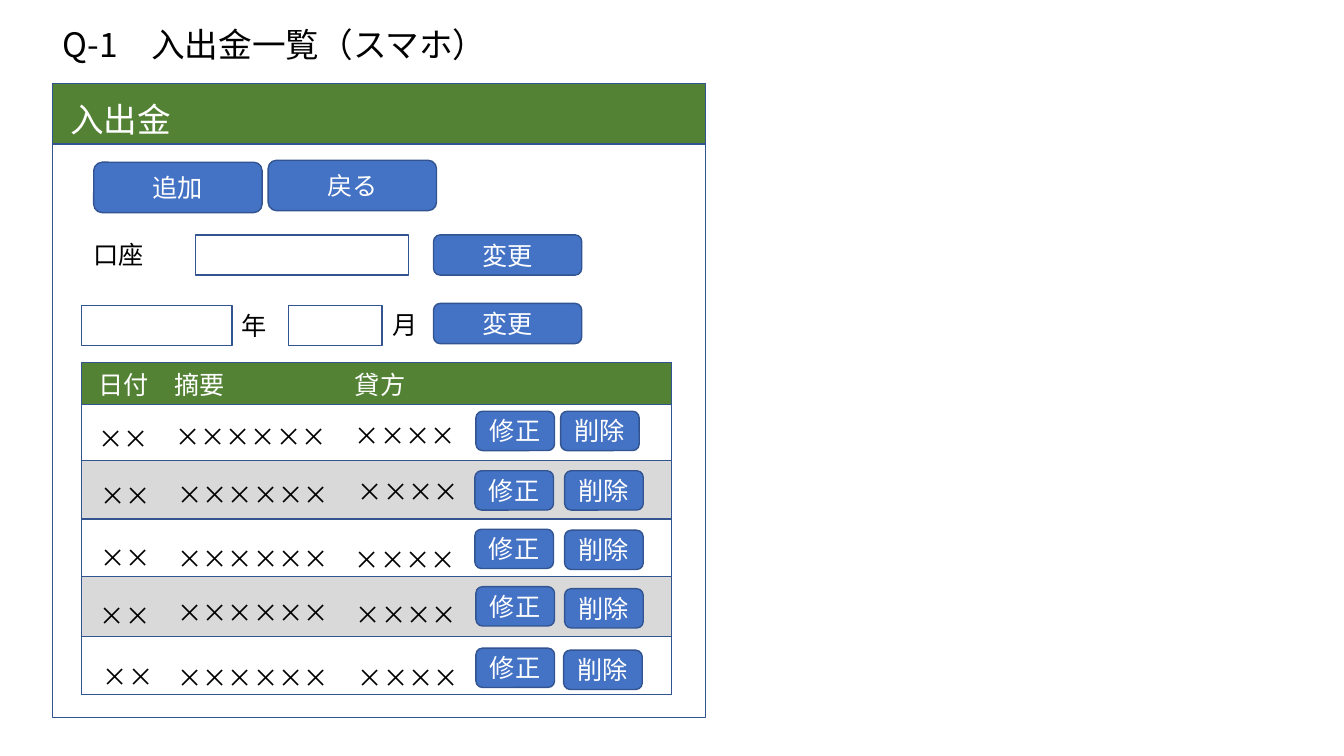
from lxml import etree
from pptx import Presentation
from pptx.dml.color import RGBColor
from pptx.enum.shapes import MSO_SHAPE
from pptx.enum.text import MSO_ANCHOR, MSO_AUTO_SIZE, PP_ALIGN
from pptx.oxml.ns import qn
from pptx.util import Inches, Pt

RECT, ROUNDED = MSO_SHAPE.RECTANGLE, MSO_SHAPE.ROUNDED_RECTANGLE
TOP, MIDDLE = MSO_ANCHOR.TOP, MSO_ANCHOR.MIDDLE
LEFT, CENTER = PP_ALIGN.LEFT, PP_ALIGN.CENTER
NO_AUTOFIT = MSO_AUTO_SIZE.NONE

COLORS = {"ink": "000000", "white": "FFFFFF", "green": "548235",
          "button": "4472C4", "outline": "325491", "band": "D9D9D9"}
FONT = "Noto Sans CJK JP"
LINE_WIDTH = Pt(1)

COLUMN_WIDTHS = (0.82, 1.79, 1.29, 1.95)
HEADINGS = ("日付", "摘要", "貸方", "")
HEADING_INDENTS = (0.17, 0.1, 0.1, 0)
HEADER_HEIGHT = 0.41
ENTRY = ("××", "××××××", "××××", "")
# Each entry: row height, (indent, drop) of its texts, (left, top) of its buttons.
ENTRIES = (
    (0.56, ((0.17, 0.15), (0.11, 0.13), (0.1, 0.12)), ((3.91, 0.07), (4.75, 0.07))),
    (0.58, ((0.19, 0.16), (0.13, 0.15), (0.13, 0.12)), ((3.9, 0.1), (4.79, 0.1))),
    (0.57, ((0.19, 0.19), (0.13, 0.2), (0.1, 0.21)), ((3.9, 0.1), (4.79, 0.11))),
    (0.59, ((0.18, 0.19), (0.13, 0.16), (0.11, 0.18)), ((3.91, 0.1), (4.79, 0.12))),
    (0.58, ((0.21, 0.21), (0.13, 0.22), (0.13, 0.22)), ((3.91, 0.12), (4.78, 0.14))),
)


def rgb(color):
    """Return the named colour."""
    return RGBColor.from_string(COLORS[color])


def apply(target, values):
    """Set every attribute of a format dict on the target."""
    for name, value in values.items():
        setattr(target, name, value)


def write(frame, text, color="ink", size=18, align=LEFT, anchor=TOP):
    """Fill a text frame with one formatted line."""
    apply(frame, {"word_wrap": True, "auto_size": NO_AUTOFIT,
                  "vertical_anchor": anchor})
    format_line(frame.paragraphs[0], text, color, size, align)


def format_line(paragraph, text, color, size=18, align=LEFT):
    """Put a run in a paragraph, with the same Latin and East Asian font."""
    paragraph.alignment = align
    run = paragraph.add_run()
    run.text = text
    apply(run.font, {"name": FONT, "size": Pt(size), "bold": False})
    run.font.color.rgb = rgb(color)
    east_asian = etree.SubElement(run.font._element, qn("a:ea"))
    east_asian.set("typeface", FONT)


def add_panel(slide, box, fill=None, preset=RECT):
    """Draw an outlined shape, empty or filled."""
    panel = slide.shapes.add_shape(preset, *map(Inches, box))
    panel.shadow.inherit = False
    if fill:
        panel.fill.solid()
        panel.fill.fore_color.rgb = rgb(fill)
    else:
        panel.fill.background()
    panel.line.color.rgb = rgb("outline")
    panel.line.width = LINE_WIDTH
    return panel


def add_button(slide, box, caption):
    """Draw a rounded button with a centred caption."""
    button = add_panel(slide, box, "button", ROUNDED)
    write(button.text_frame, caption, "white", align=CENTER, anchor=MIDDLE)


def add_label(slide, box, text, color="ink", size=18):
    """Add a text box."""
    label = slide.shapes.add_textbox(*map(Inches, box))
    write(label.text_frame, text, color, size)


def add_title(slide, box, text):
    """Place the slide title in its placeholder."""
    title = slide.shapes.title
    apply(title, dict(zip(("left", "top", "width", "height"), map(Inches, box))))
    write(title.text_frame, text, size=24)


def add_screen(slide, box):
    """Draw the phone screen with its green heading bar."""
    left, top, width, _ = box
    add_panel(slide, box)
    add_panel(slide, (left, top, width, 0.6), "green")
    add_label(slide, (left + 0.08, top + 0.1, 2.54, 0.5), "入出金", "white", 24)


def add_actions(slide, left, top):
    """Draw the add and back buttons."""
    add_button(slide, (left, top + 0.02, 1.67, 0.5), "追加")
    add_button(slide, (left + 1.73, top, 1.67, 0.5), "戻る")


def add_filters(slide, left, top):
    """Draw the account row and the year and month row."""
    height, month_top = 0.4, top + 0.7
    add_label(slide, (left + 0.02, top, 1.11, height), "口座")
    add_panel(slide, (left + 1.13, top, 2.11, height))
    add_panel(slide, (left, month_top, 1.49, height))
    add_label(slide, (left + 1.49, month_top, 0.56, height), "年")
    add_panel(slide, (left + 2.05, month_top, 0.93, height))
    add_label(slide, (left + 2.98, month_top - 0.01, 0.56, height), "月")
    for button_top in (top, month_top - 0.02):
        add_button(slide, (left + 3.49, button_top, 1.47, height), "変更")


def set_borders(cell, first, last):
    """Outline a cell, leaving out the lines between columns."""
    shown = {"a:lnL": first, "a:lnR": last, "a:lnT": True, "a:lnB": True}
    properties = cell._tc.get_or_add_tcPr()
    for tag, visible in shown.items():
        border = etree.SubElement(properties, qn(tag), w=str(LINE_WIDTH))
        if visible:
            fill = etree.SubElement(border, qn("a:solidFill"))
            etree.SubElement(fill, qn("a:srgbClr"), val=COLORS["outline"])
        else:
            etree.SubElement(border, qn("a:noFill"))


def fill_row(row, texts, insets, fill, color, anchor):
    """Fill one table row; insets hold the indent and drop of each text."""
    last = len(texts) - 1
    for index, (cell, text, (indent, drop)) in enumerate(zip(row.cells, texts, insets)):
        set_borders(cell, index == 0, index == last)
        cell.fill.solid()
        cell.fill.fore_color.rgb = rgb(fill)
        apply(cell, {"margin_left": Inches(indent), "margin_top": Inches(drop),
                     "margin_right": 0, "margin_bottom": 0,
                     "vertical_anchor": anchor})
        if text:
            format_line(cell.text_frame.paragraphs[0], text, color)


def add_ledger(slide, left, top):
    """Build the list of entries with edit and delete buttons."""
    heights = [HEADER_HEIGHT] + [entry[0] for entry in ENTRIES]
    box = (left, top, sum(COLUMN_WIDTHS), sum(heights))
    ledger = slide.shapes.add_table(len(heights), len(COLUMN_WIDTHS),
                                    *map(Inches, box)).table
    ledger.horz_banding = False
    for column, width in zip(ledger.columns, COLUMN_WIDTHS):
        column.width = Inches(width)
    for row, height in zip(ledger.rows, heights):
        row.height = Inches(height)
    heading_insets = [(indent, 0) for indent in HEADING_INDENTS]
    fill_row(ledger.rows[0], HEADINGS, heading_insets, "green", "white", MIDDLE)

    row_top = top + HEADER_HEIGHT
    for number, (height, insets, buttons) in enumerate(ENTRIES, 1):
        fill = "white" if number % 2 else "band"
        fill_row(ledger.rows[number], ENTRY, insets + ((0, 0),), fill, "ink", TOP)
        for caption, (x, y) in zip(("修正", "削除"), buttons):
            add_button(slide, (left + x, row_top + y, 0.78, 0.39), caption)
        row_top += height


def build_slide(deck):
    """Lay out the account list screen."""
    slide = deck.slides.add_slide(deck.slide_layouts[5])
    add_title(slide, (0.52, 0.19, 7.95, 0.5), "Q-1　入出金一覧（スマホ）")
    add_screen(slide, (0.52, 0.83, 6.48, 6.29))
    add_actions(slide, 0.93, 1.59)
    add_filters(slide, 0.81, 2.33)
    add_ledger(slide, 0.81, 3.6)


deck = Presentation()
deck.slide_width, deck.slide_height = Inches(13.33), Inches(7.5)
build_slide(deck)
deck.save("out.pptx")
